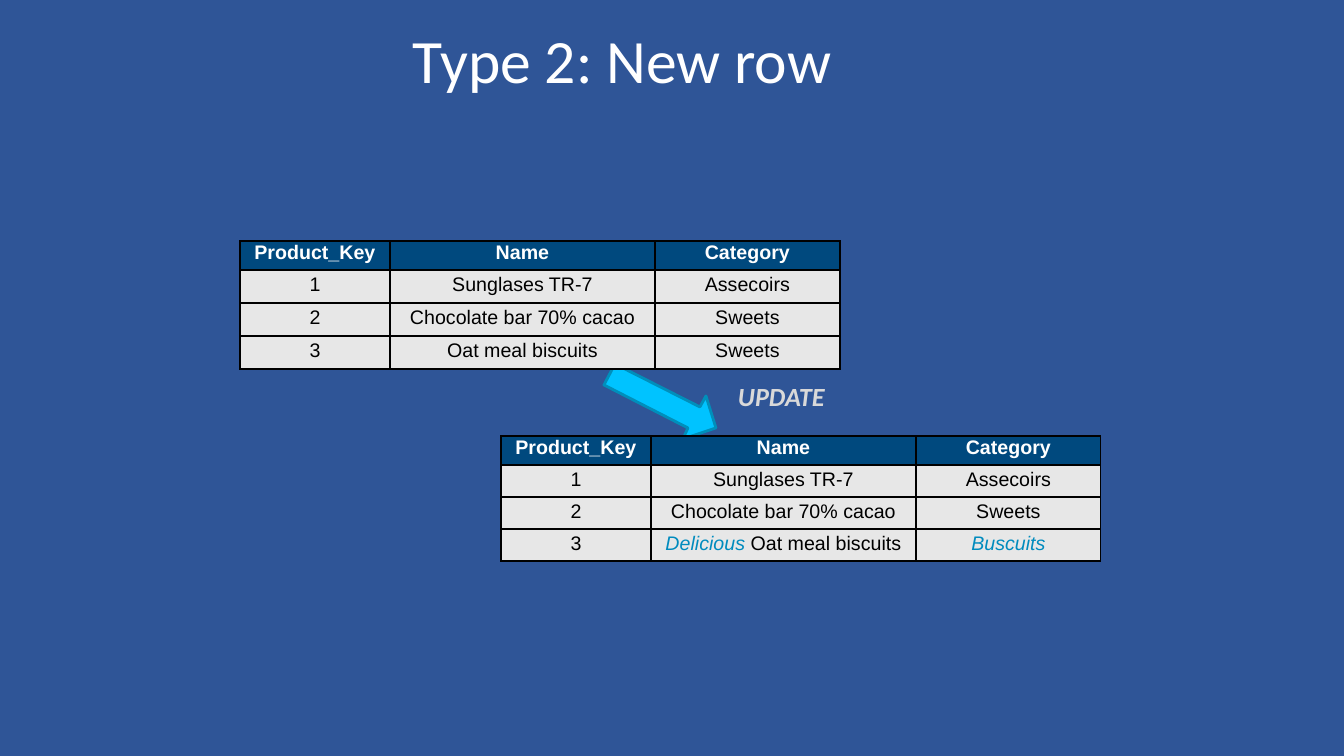
import pptx
import pptx.util
import pptx.dml.color
import pptx.enum.text
import pptx.oxml

SLIDE = (1344, 756)
COLORS = {
    "background": "2F5597", "white": "FFFFFF", "label": "D9D9D9", "black": "000000",
    "header": "00497E", "body": "E7E7E7", "changed": "008BBE",
    "arrow": "00C3FF", "arrow_edge": "008FBB",
}
TITLE = "Type 2: New row"
TITLE_BOX = (411, 19, 588, 77)
LABEL = "UPDATE"
LABEL_BOX = (736, 378, 93, 33)
ARROW = [(615, 364), (604, 385), (688, 428), (683, 439), (716, 428), (706, 396), (700, 407)]

HEADER = ["Product_Key", "Name", "Category"]
SHARED = [
    ["1", "Sunglases TR-7", "Assecoirs"],
    ["2", "Chocolate bar 70% cacao", "Sweets"],
]
BEFORE = [HEADER, *SHARED, ["3", "Oat meal biscuits", "Sweets"]]
AFTER = [HEADER, *SHARED, ["3", "Delicious Oat meal biscuits", "Buscuits"]]
CHANGED = ("Delicious ", "Buscuits")
COLUMNS = [150, 265, 185]
TABLES = [
    {"rows": BEFORE, "at": (240, 241), "heights": [29, 33, 33, 33]},
    {"rows": AFTER, "at": (501, 436), "heights": [29, 32, 32, 32]},
]

FORMATS = {
    "title": {"name": "Calibri", "size": pptx.util.Pt(44), "bold": False},
    "label": {"name": "Calibri", "size": pptx.util.Pt(18.7), "bold": True, "italic": True},
    "header": {"name": "Arial", "size": pptx.util.Pt(14), "bold": True},
    "body": {"name": "Arial", "size": pptx.util.Pt(14), "bold": False},
    "changed": {"name": "Arial", "size": pptx.util.Pt(14), "bold": False, "italic": True},
}
INK = {"title": "white", "label": "label", "header": "white", "body": "black", "changed": "changed"}
EMU_PER_PX = 914400 / 100.8


def emu(px):
    return pptx.util.Emu(round(px * EMU_PER_PX))


def color(name):
    return pptx.dml.color.RGBColor.from_string(COLORS[name])


def paint(fill, name):
    fill.solid()
    fill.fore_color.rgb = color(name)


def assign(target, values):
    for key, value in values.items():
        setattr(target, key, value)


def add_span(para, text, style):
    span = para.add_run()
    span.text = text
    assign(span.font, FORMATS[style])
    span.font.color.rgb = color(INK[style])


def write_line(box, bounds, text, style, anchor):
    assign(box, dict(zip(("left", "top", "width", "height"), map(emu, bounds))))
    assign(box.text_frame, {
        "margin_left": emu(2), "margin_right": 0, "margin_top": emu(2), "margin_bottom": 0,
        "word_wrap": True, "vertical_anchor": anchor,
        "auto_size": pptx.enum.text.MSO_AUTO_SIZE.NONE,
    })
    para = box.text_frame.paragraphs[0]
    para.alignment = pptx.enum.text.PP_ALIGN.LEFT
    add_span(para, text, style)


def add_borders(cell):
    properties = cell._tc.get_or_add_tcPr()
    for position, side in enumerate(("lnL", "lnR", "lnT", "lnB")):
        border = pptx.oxml.parse_xml(
            f'<a:{side} xmlns:a="http://schemas.openxmlformats.org/drawingml/2006/main" w="12700">'
            f'<a:solidFill><a:srgbClr val="{COLORS["black"]}"/></a:solidFill></a:{side}>'
        )
        properties.insert(position, border)


def fill_cell(cell, text, style):
    paint(cell.fill, style)
    add_borders(cell)
    assign(cell, {
        "margin_left": 0, "margin_right": 0, "margin_bottom": 0,
        "margin_top": emu(1 if style == "header" else 4),
        "vertical_anchor": pptx.enum.text.MSO_ANCHOR.TOP,
    })
    para = cell.text_frame.paragraphs[0]
    para.alignment = pptx.enum.text.PP_ALIGN.CENTER
    changed = next((part for part in CHANGED if text.startswith(part)), "")
    for part, part_style in ((changed, "changed"), (text[len(changed):], style)):
        if part:
            add_span(para, part, part_style)


def add_product_table(page, rows, at, heights):
    bounds = map(emu, (*at, sum(COLUMNS), sum(heights)))
    table = page.shapes.add_table(len(rows), len(COLUMNS), *bounds).table
    table.horz_banding = False
    for column, width in zip(table.columns, COLUMNS):
        column.width = emu(width)
    for index, (row, height) in enumerate(zip(table.rows, heights)):
        row.height = emu(height)
        for cell, text in zip(row.cells, rows[index]):
            fill_cell(cell, text, "body" if index else "header")


def add_arrow(page):
    builder = page.shapes.build_freeform(*ARROW[0], scale=EMU_PER_PX)
    builder.add_line_segments(ARROW[1:], close=True)
    arrow = builder.convert_to_shape()
    arrow.shadow.inherit = False
    paint(arrow.fill, "arrow")
    paint(arrow.line.fill, "arrow_edge")
    arrow.line.width = pptx.util.Pt(2)


def main():
    deck = pptx.Presentation()
    deck.slide_width, deck.slide_height = map(emu, SLIDE)
    page = deck.slides.add_slide(deck.slide_layouts[5])
    paint(page.background.fill, "background")
    anchors = pptx.enum.text.MSO_ANCHOR
    write_line(page.shapes.title, TITLE_BOX, TITLE, "title", anchors.MIDDLE)
    add_arrow(page)
    for table in TABLES:
        add_product_table(page, **table)
    label = page.shapes.add_textbox(*map(emu, LABEL_BOX))
    write_line(label, LABEL_BOX, LABEL, "label", anchors.TOP)
    deck.save("out.pptx")


if __name__ == "__main__":
    main()
